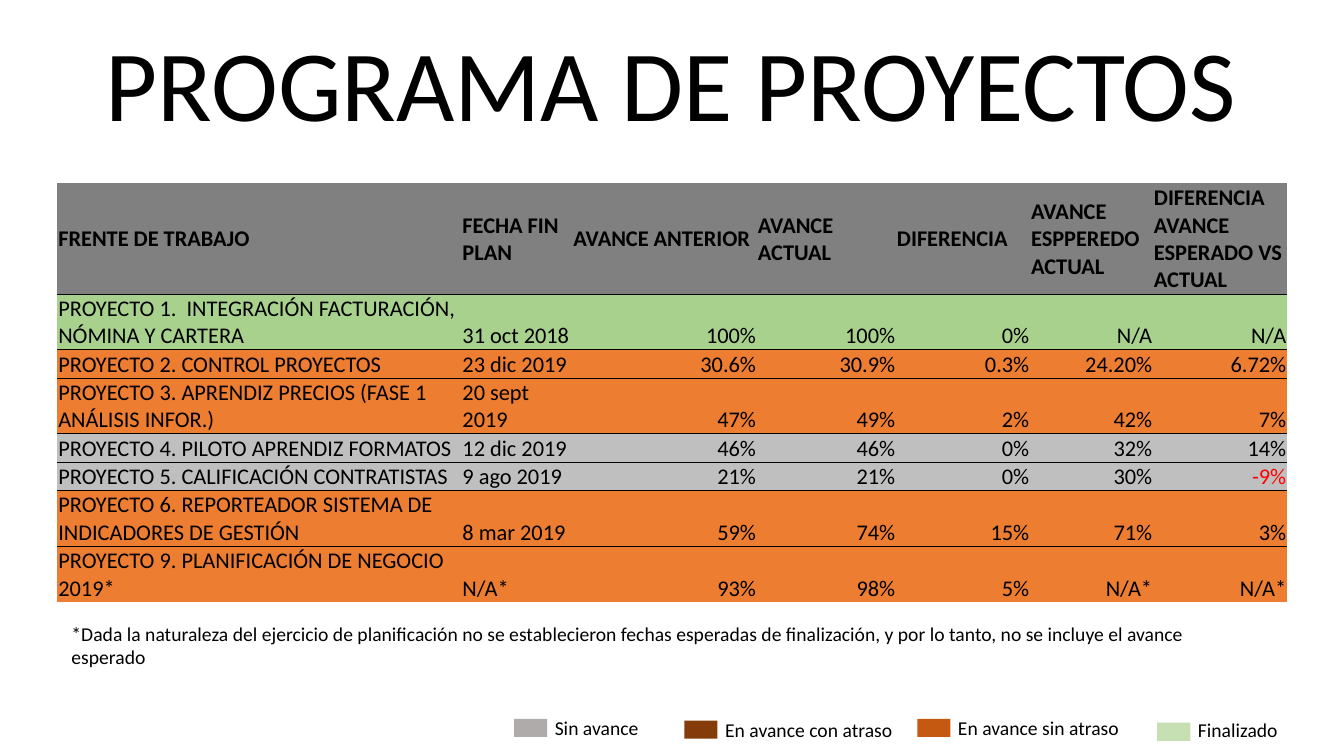
from lxml.etree import SubElement
from pptx import Presentation
from pptx.dml.color import RGBColor
from pptx.enum.shapes import MSO_SHAPE
from pptx.enum.text import MSO_ANCHOR, MSO_AUTO_SIZE, PP_ALIGN
from pptx.oxml import parse_xml
from pptx.oxml.ns import nsdecls, qn
from pptx.util import Pt

FONT = "Calibri"
BLACK = RGBColor(0x00, 0x00, 0x00)
RED = RGBColor(0xFF, 0x00, 0x00)
GRAY = RGBColor(0x80, 0x80, 0x80)
SILVER = RGBColor(0xBF, 0xBF, 0xBF)
GREEN = RGBColor(0xA9, 0xD1, 0x8E)
ORANGE = RGBColor(0xED, 0x7D, 0x31)
STONE = RGBColor(0xAF, 0xAB, 0xAB)
BROWN = RGBColor(0x84, 0x3C, 0x0B)
RUST = RGBColor(0xC6, 0x59, 0x11)
MINT = RGBColor(0xC6, 0xE0, 0xB4)

NO_STYLE = "{2D5ABB26-0587-4C30-8999-92F81FD0307C}"
WIDTHS = [288.7, 79.2, 131.8, 99.4, 95.8, 87.8, 95.8]
HEAD, LINE, PAIR = 77.6, 19.9, 39.2

ROWS = [
    (HEAD, GRAY, ["FRENTE DE TRABAJO", "FECHA FIN PLAN", "AVANCE ANTERIOR", "AVANCE ACTUAL",
                  "DIFERENCIA", "AVANCE ESPPEREDO ACTUAL",
                  "DIFERENCIA AVANCE ESPERADO VS ACTUAL"]),
    (PAIR, GREEN, ["PROYECTO 1.  INTEGRACIÓN FACTURACIÓN, NÓMINA Y CARTERA", "31 oct 2018",
                   "100%", "100%", "0%", "N/A", "N/A"]),
    (LINE, ORANGE, ["PROYECTO 2. CONTROL PROYECTOS", "23 dic 2019",
                    "30.6%", "30.9%", "0.3%", "24.20%", "6.72%"]),
    (PAIR, ORANGE, ["PROYECTO 3. APRENDIZ PRECIOS (FASE 1 ANÁLISIS INFOR.)", "20 sept 2019",
                    "47%", "49%", "2%", "42%", "7%"]),
    (LINE, SILVER, ["PROYECTO 4. PILOTO APRENDIZ FORMATOS", "12 dic 2019",
                    "46%", "46%", "0%", "32%", "14%"]),
    (LINE, SILVER, ["PROYECTO 5. CALIFICACIÓN CONTRATISTAS", "9 ago 2019",
                    "21%", "21%", "0%", "30%", "-9%"]),
    (PAIR, ORANGE, ["PROYECTO 6. REPORTEADOR SISTEMA DE INDICADORES DE GESTIÓN", "8 mar 2019",
                    "59%", "74%", "15%", "71%", "3%"]),
    (PAIR, ORANGE, ["PROYECTO 9. PLANIFICACIÓN DE NEGOCIO 2019*", "N/A*",
                    "93%", "98%", "5%", "N/A*", "N/A*"]),
]

NOTE = ("*Dada la naturaleza del ejercicio de planificación no se establecieron fechas "
        "esperadas de finalización, y por lo tanto, no se incluye el avance esperado")

KEYS = [
    ("Sin avance", STONE, 0, 5.2, 0),
    ("En avance con atraso", BROWN, 121.7, 6.5, 1),
    ("En avance sin atraso", RUST, 288, 5.2, 0),
    ("Finalizado", MINT, 459.4, 8, 1),
]


def style(para, size, color=BLACK, bold=False, align=PP_ALIGN.LEFT):
    para.alignment = align
    for run in para.runs:
        font = run.font
        font.name, font.size, font.bold = FONT, Pt(size), bold
        font.color.rgb = color


def add_title(slide, left, top, width, height):
    title = slide.shapes.title
    title.left, title.top = Pt(left), Pt(top)
    title.width, title.height = Pt(width), Pt(height)
    frame = title.text_frame
    frame.text = "PROGRAMA DE PROYECTOS"
    frame.auto_size = MSO_AUTO_SIZE.NONE
    frame.vertical_anchor = MSO_ANCHOR.MIDDLE
    style(frame.paragraphs[0], 72, align=PP_ALIGN.CENTER)


def add_text(slide, text, left, top, width, height):
    box = slide.shapes.add_textbox(Pt(left), Pt(top), Pt(width), Pt(height))
    frame = box.text_frame
    frame.word_wrap = True
    frame.text = text
    style(frame.paragraphs[0], 14)


def add_edge(cell, tag):
    edge = parse_xml(f'<a:{tag} {nsdecls("a")} w="6350"/>')
    fill = SubElement(edge, qn("a:solidFill"))
    SubElement(fill, qn("a:srgbClr")).set("val", str(BLACK))
    cell._tc.get_or_add_tcPr().insert(0, edge)


def fill_cell(cell, text, color, row, col):
    head = row == 0
    cell.margin_left = cell.margin_right = cell.margin_top = Pt(0.7)
    cell.margin_bottom = Pt(0)
    cell.vertical_anchor = MSO_ANCHOR.MIDDLE if head else MSO_ANCHOR.BOTTOM
    cell.fill.solid()
    cell.fill.fore_color.rgb = color
    cell.text_frame.text = text
    ink = RED if text.startswith("-") else BLACK
    align = PP_ALIGN.LEFT if head or col < 2 else PP_ALIGN.RIGHT
    style(cell.text_frame.paragraphs[0], 16, ink, head, align)
    if row < len(ROWS) - 1:
        add_edge(cell, "lnB")
    if not head:
        add_edge(cell, "lnT")


def add_grid(slide, left, top):
    width, height = sum(WIDTHS), sum(row[0] for row in ROWS)
    frame = slide.shapes.add_table(len(ROWS), len(WIDTHS), Pt(left), Pt(top),
                                   Pt(width), Pt(height))
    table = frame.table
    table.horz_banding = False
    table._tbl.tblPr.find(qn("a:tableStyleId")).text = NO_STYLE
    for col, size in enumerate(WIDTHS):
        table.columns[col].width = Pt(size)
    for row, (size, color, texts) in enumerate(ROWS):
        table.rows[row].height = Pt(size)
        for col, text in enumerate(texts):
            fill_cell(table.cell(row, col), text, color, row, col)


def add_legend(slide, left, top, width, height):
    for text, color, shift, drop, sink in KEYS:
        mark = slide.shapes.add_shape(MSO_SHAPE.RECTANGLE, Pt(left + shift), Pt(top + drop),
                                      Pt(23.6), Pt(13))
        mark.shadow.inherit = False
        mark.fill.solid()
        mark.fill.fore_color.rgb = color
        mark.line.fill.background()
        start = shift + 22
        add_text(slide, text, left + start, top + sink, min(139, width - start), height)


def main():
    deck = Presentation()
    deck.slide_width, deck.slide_height = Pt(960), Pt(540)
    slide = deck.slides.add_slide(deck.slide_layouts[5])
    add_title(slide, 44, 10.8, 871, 94.3)
    add_grid(slide, 41, 131)
    add_text(slide, NOTE, 44, 440.6, 864, 41)
    add_legend(slide, 367.2, 508.2, 556, 24.5)
    deck.save("out.pptx")


if __name__ == "__main__":
    main()
